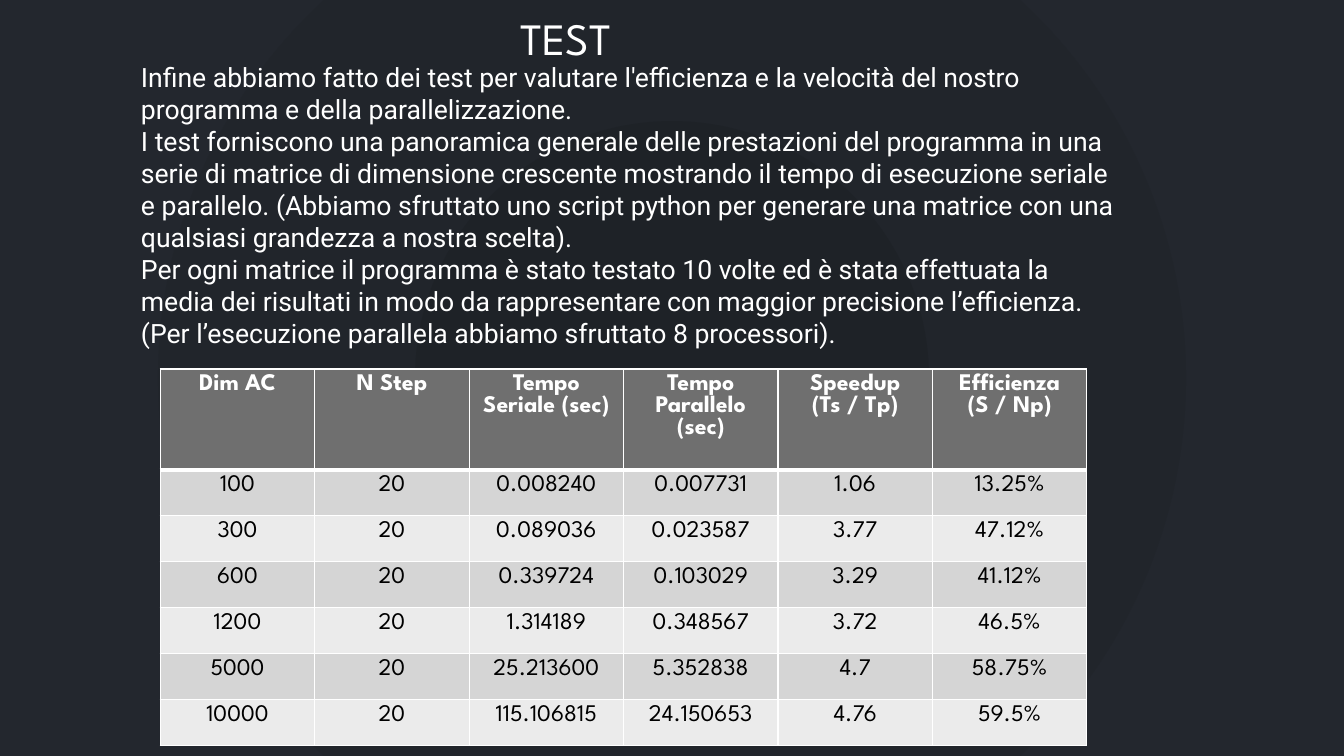
from lxml import etree
from pptx import Presentation
from pptx.dml.color import RGBColor
from pptx.enum import text
from pptx.oxml import ns
from pptx.util import Inches, Pt

# Content
TITLE = "TEST"
# Each paragraph is a list of lines parted by line breaks
INTRO = [
    ["Infine abbiamo fatto dei test per valutare l'efficienza e la velocità del nostro "
     "programma e della parallelizzazione.",
     "I test forniscono una panoramica generale delle prestazioni del programma in una "
     "serie di matrice di dimensione crescente mostrando il tempo di esecuzione seriale e "
     "parallelo. (Abbiamo sfruttato uno script python per generare una matrice con una "
     "qualsiasi grandezza a nostra scelta)."],
    ["Per ogni matrice il programma è stato testato 10 volte ed è stata effettuata la media "
     "dei risultati in modo da rappresentare con maggior precisione l’efficienza."],
    ["(Per l’esecuzione parallela abbiamo sfruttato 8 processori)."],
]
RESULTS = [
    ["Dim AC", "N Step", "Tempo Seriale (sec)", "Tempo Parallelo (sec)",
     "Speedup\n(Ts / Tp)", "Efficienza\n(S / Np)"],
    ["100", "20", "0.008240", "0.007731", "1.06", "13.25%"],
    ["300", "20", "0.089036", "0.023587", "3.77", "47.12%"],
    ["600", "20", "0.339724", "0.103029", "3.29", "41.12%"],
    ["1200", "20", "1.314189", "0.348567", "3.72", "46.5%"],
    ["5000", "20", "25.213600", "5.352838", "4.7", "58.75%"],
    ["10000", "20", "115.106815", "24.150653", "4.76", "59.5%"],
]
COLORS = {"center": "1E2227", "edge": "23272E", "white": "FFFFFF", "black": "000000",
          "header": "6F6F6F", "odd": "D5D5D5", "even": "EBEBEB"}
HEADING_FONT, BODY_FONT = "League Spartan", "Roboto"
TABLE_WIDTH, TABLE_HEIGHT, HEADER_HEIGHT = 9.19, 3.74, 1


def color(name):
    return RGBColor.from_string(COLORS[name])


def add_run(paragraph, words, font, size, color_name, bold=False):
    run = paragraph.add_run()
    run.text = words
    run.font.name, run.font.size, run.font.bold = font, Pt(size), bold
    run.font.color.rgb = color(color_name)


def set_borders(cell, widths):
    """Draw white borders; widths maps a side (L, R, T, B) to points."""
    properties = cell._tc.get_or_add_tcPr()
    for position, (side, width) in enumerate(widths.items()):
        line = etree.Element(ns.qn(f"a:ln{side}"), w=str(Pt(width)))
        fill = etree.SubElement(line, ns.qn("a:solidFill"))
        etree.SubElement(fill, ns.qn("a:srgbClr"), val=COLORS["white"])
        properties.insert(position, line)


deck = Presentation()
deck.slide_width, deck.slide_height = Inches(13.33), Inches(7.5)
slide = deck.slides.add_slide(deck.slide_layouts[5])

# Background: gradient from the centre outwards
backdrop = slide.background.fill
backdrop.gradient()
for stop, name in zip(backdrop.gradient_stops, ("center", "edge")):
    stop.color.rgb = color(name)
linear = slide.background._cSld.find(".//" + ns.qn("a:lin"))
radial = etree.Element(ns.qn("a:path"), {"path": "circle"})
etree.SubElement(radial, ns.qn("a:fillToRect"), l="50000", t="50000", r="50000", b="50000")
linear.getparent().replace(linear, radial)

# Title
title = slide.shapes.title
title.left, title.top, title.width, title.height = map(Inches, (5.06, 0.05, 1.96, 0.65))
title.text_frame.vertical_anchor = text.MSO_ANCHOR.MIDDLE
heading = title.text_frame.paragraphs[0]
heading.alignment = text.PP_ALIGN.LEFT
add_run(heading, TITLE, HEADING_FONT, 32, "white")

# Results table
rows, columns = len(RESULTS), len(RESULTS[0])
results = slide.shapes.add_table(rows, columns, Inches(1.59), Inches(3.66),
                                 Inches(TABLE_WIDTH), Inches(TABLE_HEIGHT)).table
for column in results.columns:
    column.width = Inches(TABLE_WIDTH / columns)
for r, values in enumerate(RESULTS):
    is_header = r == 0
    results.rows[r].height = Inches(
        HEADER_HEIGHT if is_header else (TABLE_HEIGHT - HEADER_HEIGHT) / (rows - 1))
    shade = "header" if is_header else "odd" if r % 2 else "even"
    for c, value in enumerate(values):
        cell = results.cell(r, c)
        cell.fill.solid()
        cell.fill.fore_color.rgb = color(shade)
        set_borders(cell, {"L": 1, "R": 1, "T": 3 if r == 1 else 1, "B": 3 if is_header else 1})
        for i, line in enumerate(value.split("\n")):
            frame = cell.text_frame
            paragraph = frame.add_paragraph() if i else frame.paragraphs[0]
            paragraph.alignment = text.PP_ALIGN.CENTER
            add_run(paragraph, line, HEADING_FONT, 17,
                    "white" if is_header else "black", is_header)

# Introduction
intro = slide.shapes.add_textbox(Inches(1.3), Inches(0.56), Inches(9.99), Inches(3.3)).text_frame
intro.word_wrap = True
for i, lines in enumerate(INTRO):
    paragraph = intro.add_paragraph() if i else intro.paragraphs[0]
    for j, line in enumerate(lines):
        if j:
            paragraph.add_line_break()
        add_run(paragraph, line, BODY_FONT, 19, "white")

deck.save("out.pptx")
